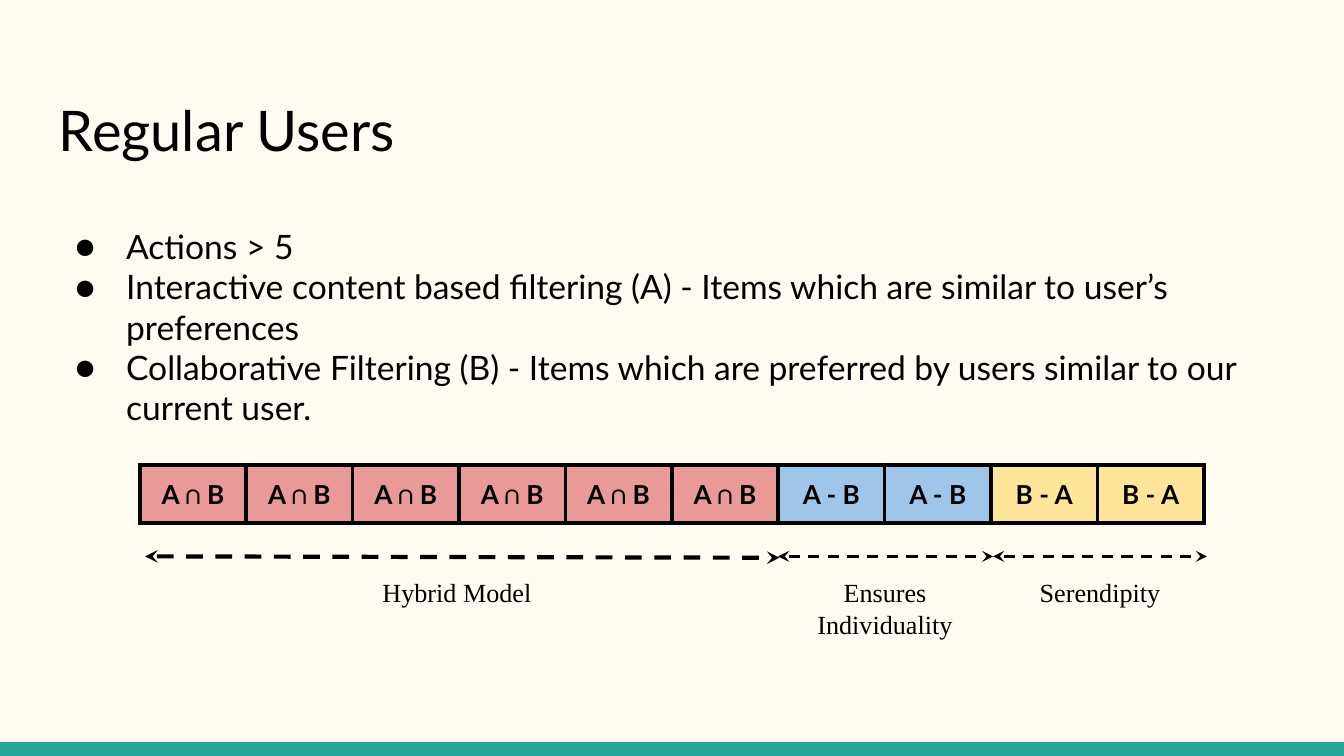
from dataclasses import dataclass

from pptx import Presentation
from pptx.dml.color import RGBColor
from pptx.enum.dml import MSO_LINE
from pptx.enum.shapes import MSO_CONNECTOR, MSO_SHAPE
from pptx.enum.text import PP_ALIGN
from pptx.oxml.ns import qn
from pptx.util import Inches, Pt
from lxml.etree import SubElement


@dataclass(frozen=True)
class Theme:
    background: str = "FFFBF0"
    accent: str = "26A69A"
    ink: str = "000000"
    hybrid: str = "EA9999"
    individual: str = "9FC5E8"
    serendipity: str = "FFE599"
    sans: str = "Lato"
    serif: str = "Times New Roman"
    title_size: int = 30
    body_size: int = 18
    label_size: int = 14
    border: float = 2.25


class SlideBuilder:
    """Draws styled elements on one slide."""

    def __init__(self, slide, theme):
        self.slide = slide
        self.theme = theme
        slide.background.fill.solid()
        slide.background.fill.fore_color.rgb = RGBColor.from_string(theme.background)

    def bar(self, left, top, width, height):
        footer = self.slide.shapes.add_shape(
            MSO_SHAPE.RECTANGLE, Inches(left), Inches(top), Inches(width), Inches(height))
        footer.shadow.inherit = False
        footer.fill.solid()
        footer.fill.fore_color.rgb = RGBColor.from_string(self.theme.accent)
        footer.line.fill.background()

    def style(self, paragraph, size, font, bold=False):
        for run in paragraph.runs:
            run.font.size = Pt(size)
            run.font.name = font
            run.font.bold = bold
            run.font.color.rgb = RGBColor.from_string(self.theme.ink)

    def inset(self, holder):
        holder.margin_left = holder.margin_right = Inches(0.1)
        holder.margin_top = holder.margin_bottom = Inches(0.1)

    def text(self, words, left, top, width, height, size, font, align=PP_ALIGN.LEFT):
        frame = self.slide.shapes.add_textbox(
            Inches(left), Inches(top), Inches(width), Inches(height)).text_frame
        frame.word_wrap = True
        self.inset(frame)
        frame.text = words
        for paragraph in frame.paragraphs:
            paragraph.alignment = align
            self.style(paragraph, size, font)
        return frame

    def bullets(self, points, left, top, width, height):
        frame = self.text("\n".join(points), left, top, width, height,
                          self.theme.body_size, self.theme.sans)
        for paragraph in frame.paragraphs:
            properties = paragraph._p.get_or_add_pPr()
            properties.set("marL", str(Inches(0.5)))
            properties.set("indent", str(Inches(-0.38)))
            SubElement(SubElement(properties, qn("a:buClr")), qn("a:srgbClr"), val=self.theme.ink)
            SubElement(properties, qn("a:buFont"), typeface=self.theme.sans)
            SubElement(properties, qn("a:buChar"), char="●")

    def slots(self, entries, left, top, width, height):
        grid = self.slide.shapes.add_table(
            1, len(entries), Inches(left), Inches(top), Inches(width), Inches(height)).table
        grid.first_row = grid.horz_banding = False
        for column, (words, color) in enumerate(entries):
            cell = grid.cell(0, column)
            self.inset(cell)
            cell.text = words
            paragraph = cell.text_frame.paragraphs[0]
            paragraph.alignment = PP_ALIGN.CENTER
            self.style(paragraph, self.theme.label_size, self.theme.sans, bold=True)
            self.borders(cell)
            cell.fill.solid()
            cell.fill.fore_color.rgb = RGBColor.from_string(color)

    def borders(self, cell):
        properties = cell._tc.get_or_add_tcPr()
        for side in ("a:lnL", "a:lnR", "a:lnT", "a:lnB"):
            edge = SubElement(properties, qn(side), w=str(Pt(self.theme.border)))
            SubElement(SubElement(edge, qn("a:solidFill")), qn("a:srgbClr"), val=self.theme.ink)

    def span(self, start, end, weight):
        arrow = self.slide.shapes.add_connector(
            MSO_CONNECTOR.STRAIGHT, *(Inches(value) for value in (*start, *end)))
        arrow.line.color.rgb = RGBColor.from_string(self.theme.ink)
        arrow.line.width = Pt(weight)
        arrow.line.dash_style = MSO_LINE.DASH
        outline = arrow.line._get_or_add_ln()
        for tip in ("a:headEnd", "a:tailEnd"):
            SubElement(outline, qn(tip), type="stealth")
        SubElement(arrow._element.spPr, qn("a:effectLst"))


def main():
    theme = Theme()
    deck = Presentation()
    deck.slide_width, deck.slide_height = Inches(10), Inches(10 * 9 / 16)
    builder = SlideBuilder(deck.slides.add_slide(deck.slide_layouts[6]), theme)

    builder.bar(0, 5.52, 10, 0.11)
    builder.text("Regular Users", 0.34, 0.61, 9.32, 0.67, theme.title_size, theme.sans)
    builder.bullets([
        "Actions > 5",
        "Interactive content based filtering (A) - Items which are similar to user’s preferences",
        "Collaborative Filtering (B) - Items which are preferred by users similar to our current user.",
    ], 0.34, 1.58, 9.32, 1.72)

    entries = ([("A ∩ B", theme.hybrid)] * 6
               + [("A - B", theme.individual)] * 2
               + [("B - A", theme.serendipity)] * 2)
    builder.slots(entries, 1.04, 3.46, 7.92, 0.42)

    groups = [
        ("Hybrid Model", (1.08, 4.14), (5.8, 4.15), 2.25, 1.84, 3.12, 0.43),
        ("Ensures Individuality", (5.79, 4.14), (7.39, 4.14), 1.5, 5.79, 1.59, 0.59),
        ("Serendipity", (7.39, 4.14), (8.98, 4.14), 1.5, 7.39, 1.59, 0.59),
    ]
    for label, start, end, weight, left, width, height in groups:
        builder.span(start, end, weight)
        builder.text(label, left, 4.19, width, height,
                     theme.label_size, theme.serif, PP_ALIGN.CENTER)

    deck.save("out.pptx")


if __name__ == "__main__":
    main()
